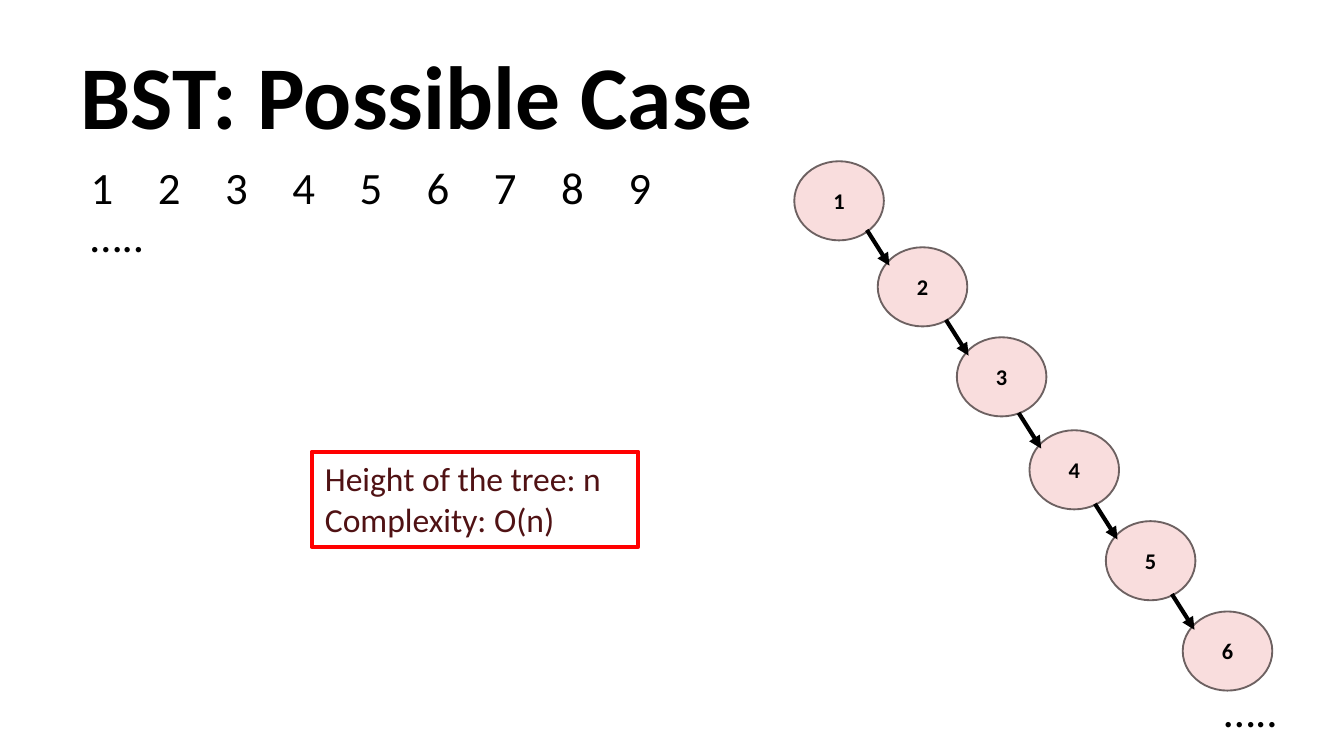
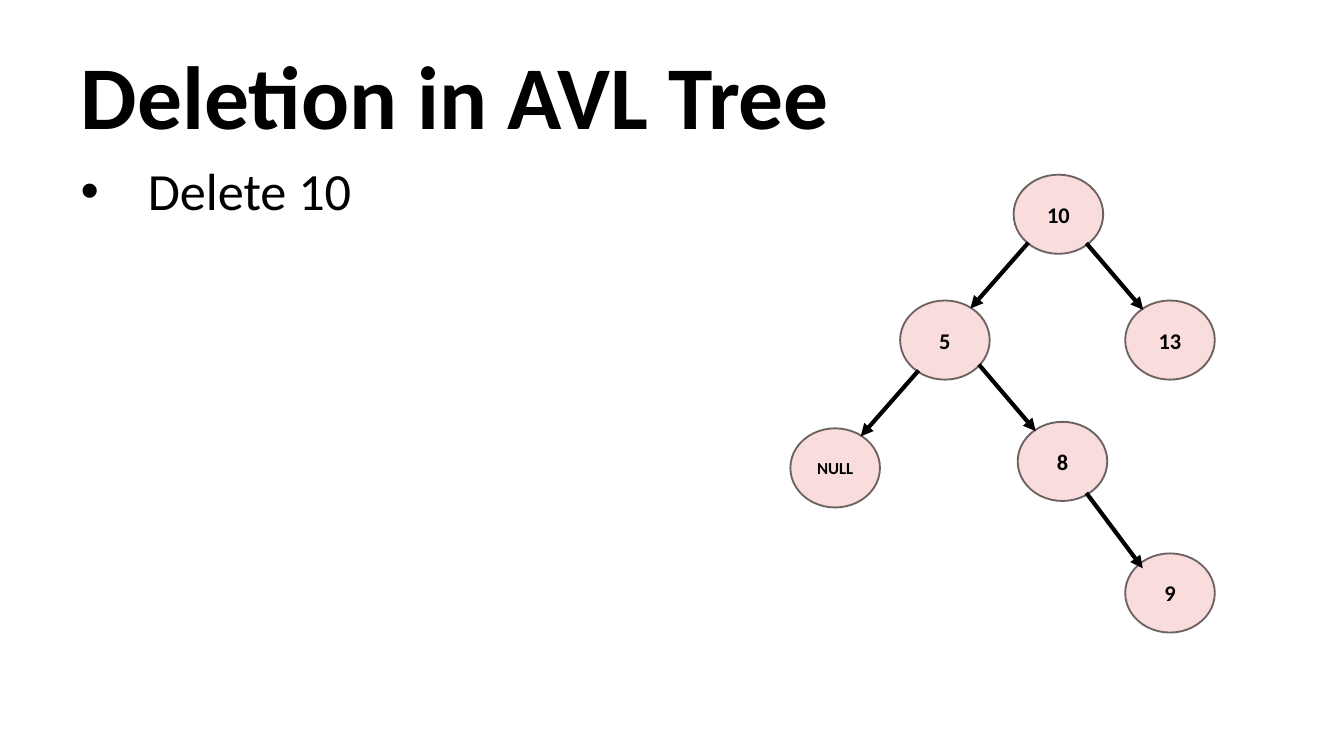
import pptx
import pptx.dml.color
import pptx.enum.shapes
import pptx.enum.text
import pptx.oxml
import pptx.oxml.ns
import pptx.util

Pt = pptx.util.Pt
RGBColor = pptx.dml.color.RGBColor
Align = pptx.enum.text.PP_ALIGN
Anchor = pptx.enum.text.MSO_ANCHOR
Shape = pptx.enum.shapes.MSO_SHAPE

BLACK = RGBColor(0x00, 0x00, 0x00)
PINK = RGBColor(0xF9, 0xDD, 0xDD)
GREY = RGBColor(0x6D, 0x61, 0x61)
RED = RGBColor(0xFF, 0x00, 0x00)
MAROON = RGBColor(0x50, 0x12, 0x14)

NODE_W, NODE_H = 48, 42.4
TAB_STEP = 28.44

CHAIN = (-5.8, -9.3, 6.3, 9.8)
LEFT = (68.7, -31, 37.7, 4.3)
RIGHT = (-20.8, -30.7, 9.7, 5)
STEEP = (-20.8, -32.4, 9.4, 8)


def make(tag, **attrs):
    node = pptx.oxml.parse_xml(f"<a:{tag} {pptx.oxml.ns.nsdecls('a')}/>")
    for name, value in attrs.items():
        node.set(name, str(value))
    return node


class Deck:
    font = "Calibri"

    def __init__(self):
        self.prs = pptx.Presentation()
        self.prs.slide_width = Pt(720)
        self.prs.slide_height = Pt(405)
        self.slide = None

    def start(self, title):
        self.slide = self.prs.slides.add_slide(self.prs.slide_layouts[1])
        frame = self.hold(0, 36, 22.3, 648, 62.7)
        frame.vertical_anchor = Anchor.MIDDLE
        par = frame.paragraphs[0]
        par.alignment = Align.LEFT
        par.line_spacing = 0.9
        self.text(par, title, 48, bold=True)

    def hold(self, index, x, y, w, h):
        shape = self.slide.placeholders[index]
        shape.left, shape.top, shape.width, shape.height = map(Pt, (x, y, w, h))
        frame = shape.text_frame
        frame.auto_size = pptx.enum.text.MSO_AUTO_SIZE.NONE
        frame.word_wrap = True
        return frame

    def text(self, par, words, size, color=BLACK, bold=False):
        run = par.add_run()
        run.text = words
        run.font.name = self.font
        run.font.size = Pt(size)
        run.font.bold = bold
        run.font.color.rgb = color

    def body(self, words, size, indent=0, bullet=None):
        frame = self.hold(1, 36, 85, 324, 296)
        par = frame.paragraphs[0]
        par.line_spacing = 0.9
        par.space_before = Pt(0)
        props = par._p.get_or_add_pPr()
        props.set("marL", str(Pt(indent)))
        props.set("indent", str(Pt(-indent)))
        if bullet:
            props.append(make("buFont", typeface="Arial"))
            props.append(make("buChar", char=bullet))
        else:
            props.append(make("buNone"))
        stops = words.count("\t")
        if stops:
            frame.margin_left = Pt(12.6)
            tabs = make("tabLst")
            for i in range(1, stops + 1):
                tabs.append(make("tab", pos=Pt(TAB_STEP * i), algn="l"))
            props.append(tabs)
        self.text(par, words, size)

    def node(self, words, x, y):
        shape = self.slide.shapes.add_shape(
            Shape.OVAL, Pt(x), Pt(y), Pt(NODE_W), Pt(NODE_H))
        shape.shadow.inherit = False
        shape.fill.solid()
        shape.fill.fore_color.rgb = PINK
        shape.line.color.rgb = GREY
        shape.line.width = Pt(1)
        frame = shape.text_frame
        frame.margin_left = frame.margin_right = Pt(0)
        frame.vertical_anchor = Anchor.MIDDLE
        par = frame.paragraphs[0]
        par.alignment = Align.CENTER
        self.text(par, words, 9 if len(words) > 2 else 12, bold=True)

    def arrow(self, x1, y1, x2, y2):
        line = self.slide.shapes.add_connector(
            pptx.enum.shapes.MSO_CONNECTOR.STRAIGHT,
            Pt(x1), Pt(y1), Pt(x2), Pt(y2))
        line.line.color.rgb = BLACK
        line.line.width = Pt(2.25)
        line.line._get_or_add_ln().append(make("tailEnd", type="triangle"))
        line._element.spPr.append(make("effectLst"))

    def tree(self, nodes):
        for words, x, y, link in nodes:
            self.node(words, x, y)
            if link:
                x1, y1, x2, y2 = link
                self.arrow(x + x1, y + y1, x + x2, y + y2)

    def label(self, lines, x, y, w, h, size, color=BLACK, edge=None):
        box = self.slide.shapes.add_textbox(Pt(x), Pt(y), Pt(w), Pt(h))
        if edge is not None:
            box.line.color.rgb = edge
            box.line.width = Pt(2.25)
        frame = box.text_frame
        frame.word_wrap = True
        for i, words in enumerate(lines):
            par = frame.add_paragraph() if i else frame.paragraphs[0]
            self.text(par, words, size, color)


def main():
    deck = Deck()

    deck.start("BST: Possible Case")
    deck.body("\t".join([*"123456789", "….."]), 24)
    spots = [(425.5, 86.4), (470.2, 132.5), (512.6, 180.7),
             (551.5, 230.5), (592.4, 279.2), (633.6, 327.6)]
    deck.tree([(str(i + 1), x, y, CHAIN if i else None)
               for i, (x, y) in enumerate(spots)])
    deck.label(["….."], 648.7, 362.2, 71.3, 36, 24)
    deck.label(["Height of the tree: n", "Complexity: O(n)"],
               167, 242, 175, 51, 18, MAROON, RED)

    deck.start("Deletion in AVL Tree")
    deck.body("Delete 10", 28, 36, "•")
    deck.tree([
        ("10", 543, 93.6, None),
        ("5", 482.2, 161, LEFT),
        ("13", 602.8, 161, RIGHT),
        ("NULL", 423.4, 229.5, LEFT),
        ("8", 545.2, 226, RIGHT),
        ("9", 602.8, 296.5, STEEP),
    ])

    deck.prs.save("out.pptx")


if __name__ == "__main__":
    main()
